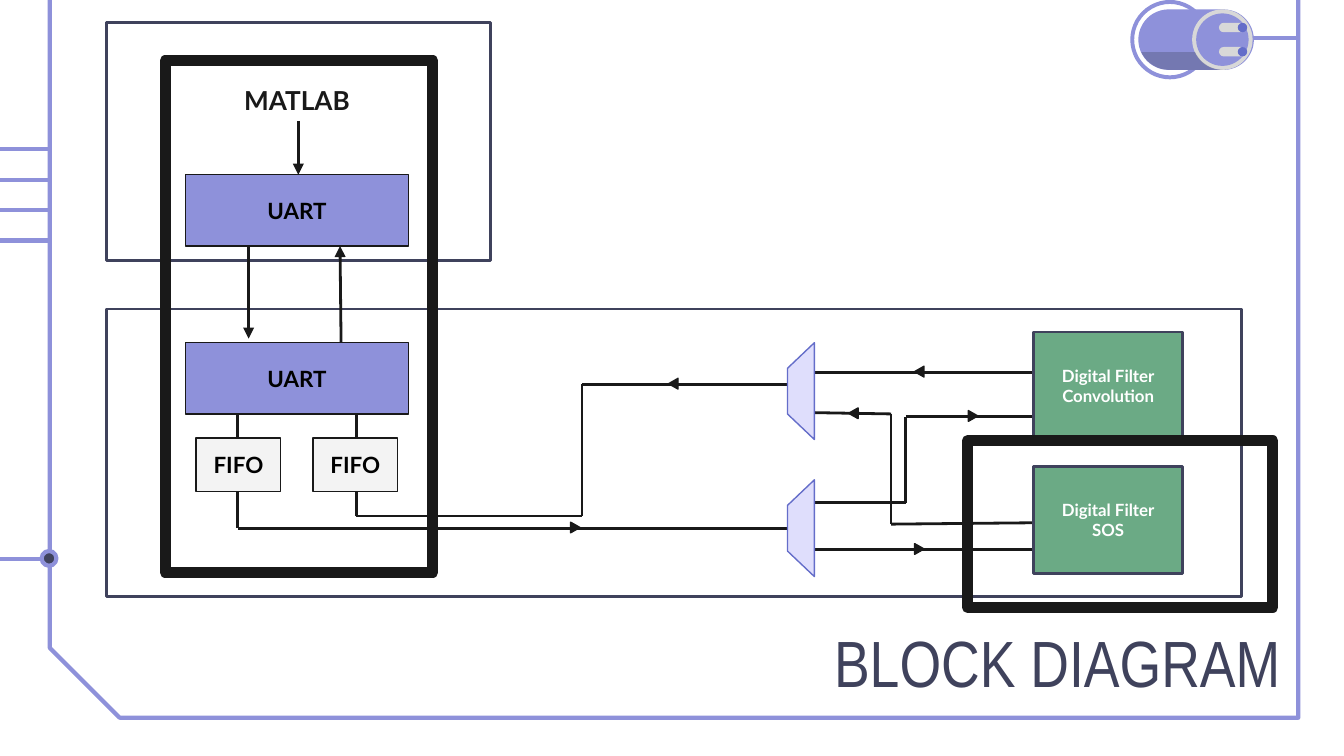
from dataclasses import dataclass
from itertools import pairwise
from math import cos, radians, sin

from lxml.etree import SubElement
from pptx import Presentation
from pptx.dml.color import RGBColor
from pptx.enum.shapes import MSO_CONNECTOR as Connector, MSO_SHAPE as Shape
from pptx.enum.text import MSO_ANCHOR as Anchor, PP_ALIGN as Align
from pptx.oxml.ns import qn
from pptx.util import Inches, Pt


@dataclass(frozen=True)
class Theme:
    """Colours, fonts and type sizes of the slide."""
    lilac: str = "8E91DA"
    violet: str = "646DC9"
    pale: str = "DFDEFC"
    navy: str = "3F425C"
    shade: str = "484C69"
    silver: str = "D8D8D8"
    mist: str = "F3F3F3"
    green: str = "6BAA85"
    ink: str = "191919"
    black: str = "000000"
    white: str = "FFFFFF"
    body_font: str = "Lato"
    title_font: str = "Arial Narrow"
    title_size: int = 35
    heading_size: int = 14
    block_size: int = 12
    filter_size: int = 9


THEME = Theme()


@dataclass(frozen=True)
class Box:
    """A region in inches."""
    left: float
    top: float
    width: float
    height: float

    def inner(self, left, top, width, height):
        """Return a box placed relative to this one."""
        return Box(self.left + left, self.top + top, width, height)

    def point(self, x, y):
        """Return the slide lengths of a point relative to this box."""
        return Inches(self.left + x), Inches(self.top + y)

    def lengths(self):
        """Return the four slide lengths of this box."""
        return [Inches(v) for v in (self.left, self.top, self.width, self.height)]


def paint(shape, fill=None, line=None, weight=0.75):
    """Set the fill and outline of a shape and drop its shadow."""
    shape.shadow.inherit = False
    for target, color in ((shape.fill, fill), (shape.line.fill, line)):
        if color:
            target.solid()
            target.fore_color.rgb = RGBColor.from_string(color)
        else:
            target.background()
    if line:
        shape.line.width = Pt(weight)


def add_figure(slide, kind, box, fill=None, line=None, weight=0.75, rotation=0):
    """Add a painted preset shape."""
    shape = slide.shapes.add_shape(kind, *box.lengths())
    shape.rotation = rotation
    paint(shape, fill, line, weight)
    return shape


def write(shape, text, color, size, name=THEME.body_font, bold=True,
          align=Align.CENTER, anchor=Anchor.MIDDLE):
    """Write one formatted paragraph into a shape."""
    frame = shape.text_frame
    frame.text = text
    layout = {"word_wrap": True, "vertical_anchor": anchor}
    for side in ("left", "top", "right", "bottom"):
        layout[f"margin_{side}"] = Inches(0.1)
    for key, value in layout.items():
        setattr(frame, key, value)
    paragraph = frame.paragraphs[0]
    paragraph.alignment = align
    for key, value in {"name": name, "size": Pt(size), "bold": bold}.items():
        setattr(paragraph.font, key, value)
    paragraph.font.color.rgb = RGBColor.from_string(color)


def add_block(slide, box, text, fill, line=THEME.ink, weight=0.75,
              color=THEME.black, size=THEME.block_size):
    """Add a labelled rectangle."""
    write(add_figure(slide, Shape.RECTANGLE, box, fill, line, weight), text, color, size)


def add_route(slide, box, points, color=THEME.ink, weight=1.5, arrow=False):
    """Join points with straight connectors, the arrowhead at each end if asked."""
    for start, end in pairwise(points):
        connector = slide.shapes.add_connector(
            Connector.STRAIGHT, *box.point(*start), *box.point(*end))
        connector.line.color.rgb = RGBColor.from_string(color)
        connector.line.width = Pt(weight)
        if arrow:
            SubElement(connector.line._get_or_add_ln(), qn("a:tailEnd"), type="triangle")
        SubElement(connector._element.spPr, qn("a:effectLst"))


def add_outline(slide, box, points, closed):
    """Build a freeform through points relative to a box."""
    start, *rest = [box.point(*point) for point in points]
    builder = slide.shapes.build_freeform(*start, scale=1.0)
    builder.add_line_segments(rest, close=closed)
    return builder.convert_to_shape()


def draw_frame(slide, box):
    """Draw the circuit-trace border with its side traces and node."""
    right, bottom, cut = box.width, box.height, 0.52
    border = [(0, 0), (0, bottom - cut), (cut, bottom), (right, bottom), (right, 0.04)]
    paint(add_outline(slide, box, border, False), None, THEME.lilac, 2.25)
    for y in (1.16, 1.39, 1.61, 1.84, 4.21):
        add_route(slide, box, [(0.01, y), (-0.38, y)], THEME.lilac, 2.25)
    add_figure(slide, Shape.OVAL, box.inner(-0.06, 4.15, 0.11, 0.11),
               THEME.navy, THEME.lilac, 2.25)


def draw_plug(slide, box):
    """Draw the plug and the trace leading from it."""
    add_route(slide, box, [(0.72, 0.28), (1.26, 0.28)], THEME.lilac, 2.25)
    ring = add_figure(slide, Shape.DONUT, box.inner(0, 0, 0.59, 0.59), THEME.lilac)
    ring.adjustments[0] = 0.05
    body = add_figure(slide, Shape.ROUNDED_RECTANGLE,
                      box.inner(0.06, 0.07, 0.86, 0.45), THEME.lilac)
    body.adjustments[0] = 0.5
    add_figure(slide, Shape.OVAL, box.inner(0.46, 0.07, 0.45, 0.45), THEME.silver)
    add_figure(slide, Shape.OVAL, box.inner(0.49, 0.1, 0.39, 0.39), THEME.lilac)
    for y in (0.17, 0.35):
        prong = add_figure(slide, Shape.ROUNDED_RECTANGLE,
                           box.inner(0.66, y, 0.2, 0.07), THEME.silver)
        prong.adjustments[0] = 0.5
        add_figure(slide, Shape.OVAL, box.inner(0.8, y, 0.07, 0.07), THEME.violet)
    arc = [(0.23 * cos(radians(a)), 0.29 + 0.23 * sin(radians(a)))
           for a in range(155, 89, -5)]
    edge = [(0.29 + x, y) for x, y in arc] + [(0.69 + x, y) for x, y in reversed(arc)]
    shadow = add_outline(slide, box, edge, True)
    paint(shadow, THEME.shade)
    color = shadow._element.spPr.find(qn("a:solidFill"))[0]
    SubElement(color, qn("a:alpha"), val="36000")


def draw_host(slide, box):
    """Draw the computer side with its serial port."""
    add_figure(slide, Shape.RECTANGLE, box, THEME.white, THEME.navy, 1.5)
    label = slide.shapes.add_textbox(*box.inner(0.85, 0.42, 1.14, 0.31).lengths())
    write(label, "MATLAB", THEME.ink, THEME.heading_size)
    add_route(slide, box, [(1.43, 0.73), (1.43, 1.13)], arrow=True)
    add_block(slide, box.inner(0.59, 1.13, 1.66, 0.53), "UART", THEME.lilac)


def draw_board(slide, box):
    """Draw the hardware side: serial port, queues, switches and filters."""
    add_figure(slide, Shape.RECTANGLE, box, THEME.white, THEME.navy, 1.5)
    for link in ([(1.06, -0.47), (1.06, 0.22)], [(1.75, 0.43), (1.74, -0.47)]):
        add_route(slide, box, link, arrow=True)
    routes = [
        [(0.98, 0.67), (0.98, 1.63), (5.07, 1.63)],
        [(5.2, 0.56), (3.54, 0.56), (3.54, 1.54), (1.86, 1.54), (1.86, 0.67)],
        [(5.27, 1.44), (5.95, 1.44), (5.95, 0.8), (6.9, 0.8)],
        [(5.27, 1.79), (6.91, 1.79)],
        [(6.9, 0.47), (5.24, 0.47)],
        [(6.9, 1.59), (5.84, 1.6), (5.84, 0.78), (5.23, 0.77)],
    ]
    for points in routes:
        add_route(slide, box, points)
    marks = [(3.49, 1.63, 90), (6.05, 1.79, 90), (6.45, 0.8, 90),
             (4.22, 0.56, 270), (6.05, 0.47, 270), (5.56, 0.78, 270)]
    for x, y, rotation in marks:
        add_figure(slide, Shape.ISOSCELES_TRIANGLE, box.inner(x - 0.04, y - 0.04, 0.08, 0.07),
                   THEME.ink, THEME.ink, rotation=rotation)
    add_block(slide, box.inner(0.59, 0.25, 1.66, 0.53), "UART", THEME.lilac)
    for x in (0.67, 1.54):
        add_block(slide, box.inner(x, 0.96, 0.63, 0.4), "FIFO", THEME.mist)
    for y in (0.51, 1.53):
        switch = add_figure(slide, Shape.TRAPEZOID, box.inner(4.81, y, 0.72, 0.2),
                            THEME.pale, THEME.violet, rotation=270)
        switch.adjustments[0] = 0.95
    for y, kind in ((0.17, "Convolution"), (1.17, "SOS")):
        add_block(slide, box.inner(6.9, y, 1.11, 0.8), f"Digital Filter\v{kind}",
                  THEME.green, THEME.navy, 1.5, THEME.white, THEME.filter_size)


def draw_highlight(slide, box):
    """Draw a heavy outline around a region."""
    add_figure(slide, Shape.RECTANGLE, box, None, THEME.ink, 6)


def draw_title(slide, box):
    """Write the slide title."""
    write(slide.shapes.add_textbox(*box.lengths()), "BLOCK DIAGRAM", THEME.navy,
          THEME.title_size, THEME.title_font, False, Align.RIGHT, Anchor.TOP)


def main():
    """Build and save the slide."""
    presentation = Presentation()
    presentation.slide_width = Inches(10)
    presentation.slide_height = presentation.slide_width * 9 // 16
    slide = presentation.slides.add_slide(presentation.slide_layouts[6])
    draw_frame(slide, Box(0.37, -0.05, 9.29, 5.39))
    draw_plug(slide, Box(8.41, 0, 0.92, 0.59))
    draw_title(slide, Box(1.73, 4.53, 7.9, 0.63))
    draw_host(slide, Box(0.79, 0.17, 2.86, 1.77))
    draw_board(slide, Box(0.79, 2.3, 8.45, 2.14))
    for box in (Box(7.2, 3.28, 2.27, 1.24), Box(1.23, 0.45, 1.99, 3.81)):
        draw_highlight(slide, box)
    presentation.save("out.pptx")


if __name__ == "__main__":
    main()
